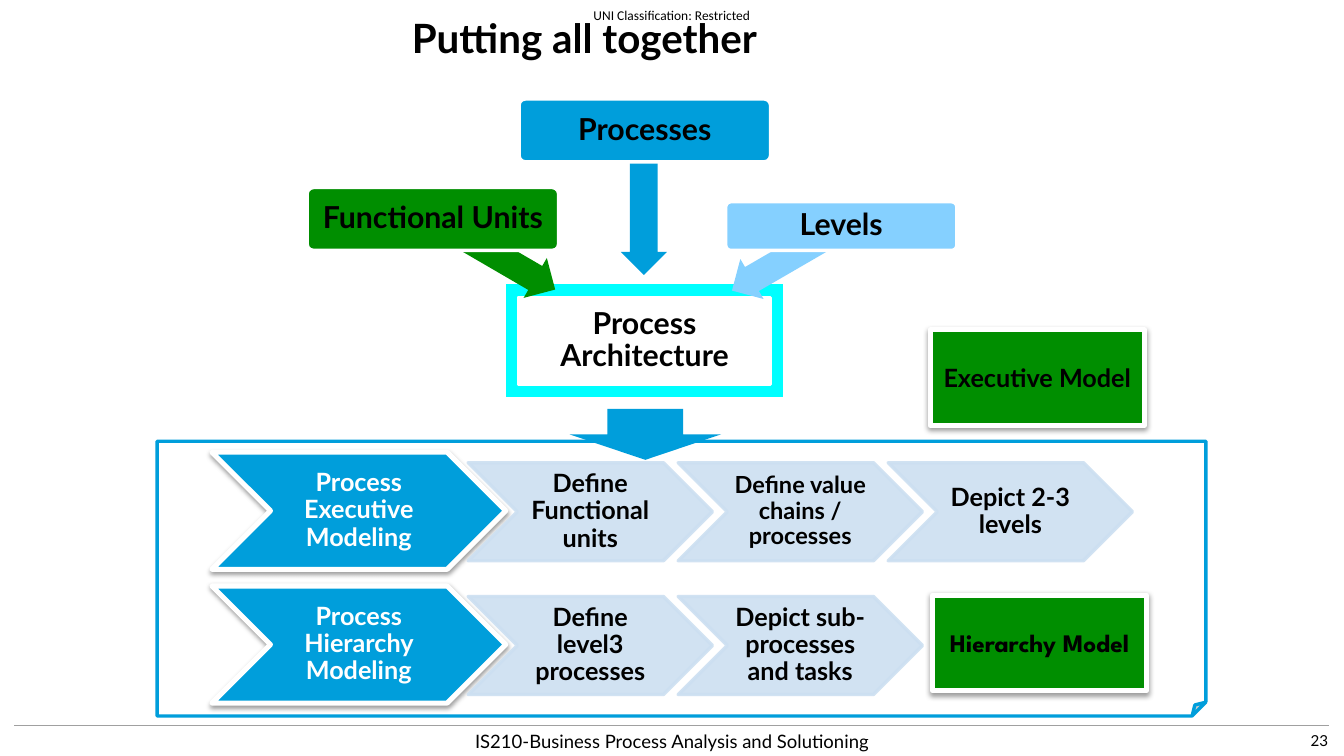
from dataclasses import dataclass

from lxml import etree
from pptx import Presentation
from pptx import util as u
from pptx.dml.color import RGBColor
from pptx.enum import shapes, text
from pptx.oxml.ns import qn

BLUE, GREEN, SKY, PALE = "009EDB", "008E00", "85D0FF", "CCDFF1"
BLACK, WHITE = "000000", "FFFFFF"
KIND = shapes.MSO_SHAPE
ALIGN = text.PP_ALIGN
ANCHOR = text.MSO_ANCHOR


@dataclass
class Block:
    kind: shapes.MSO_SHAPE
    box: tuple[float, float, float, float]
    fill: str
    label: str = ""
    size: float = 15
    font: str = "Lato"
    ink: str = BLACK
    line: str = ""
    weight: float = 2
    adjust: tuple[tuple[str, float], ...] = ()
    rotation: float = 0
    spacing: float = 1
    inset: float = 0.1
    opacity: int = 100
    shadow: bool = False


@dataclass
class Note:
    box: tuple[float, float, float, float]
    label: str
    size: float
    font: str = "Lato"
    align: text.PP_ALIGN = ALIGN.CENTER
    inset: float = 0.25


def paint(color, value: str) -> None:
    color.rgb = RGBColor.from_string(value)


def place(sp, box: tuple[float, float, float, float]) -> None:
    sp.left, sp.top, sp.width, sp.height = map(u.Cm, box)


def write(sp, label: str, size: float, font: str = "Lato", ink: str = BLACK,
          bold: bool = True, align: text.PP_ALIGN = ALIGN.CENTER,
          anchor: text.MSO_ANCHOR = ANCHOR.MIDDLE, spacing: float = 1,
          inset: float = 0.1) -> None:
    tf = sp.text_frame
    tf.word_wrap = True
    tf.auto_size = text.MSO_AUTO_SIZE.NONE
    tf.vertical_anchor = anchor
    tf.margin_left = tf.margin_right = u.Cm(inset)
    tf.margin_top = tf.margin_bottom = u.Cm(min(inset, 0.13))
    tf.text = label
    p = tf.paragraphs[0]
    p.alignment, p.line_spacing = align, spacing
    p.font.name, p.font.size, p.font.bold = font, u.Pt(size), bold
    paint(p.font.color, ink)


def set_adjust(sp, adjust: tuple[tuple[str, float], ...]) -> None:
    geometry = sp._element.spPr.find(qn("a:prstGeom"))
    for old in geometry.findall(qn("a:avLst")):
        geometry.remove(old)
    guides = etree.SubElement(geometry, qn("a:avLst"))
    for name, value in adjust:
        etree.SubElement(guides, qn("a:gd"), name=name, fmla=f"val {round(value * 100000)}")


def add_alpha(color, percent: int) -> None:
    etree.SubElement(color, qn("a:alpha"), val=str(percent * 1000))


def add_shadow(sp) -> None:
    effects = sp._element.spPr.find(qn("a:effectLst"))
    outer = etree.SubElement(effects, qn("a:outerShdw"), blurRad="39370",
                             dist="20320", dir="5400000", rotWithShape="0")
    add_alpha(etree.SubElement(outer, qn("a:srgbClr"), val=BLACK), 38)


def draw_block(s, b: Block) -> None:
    sp = s.shapes.add_shape(b.kind, *map(u.Cm, b.box))
    sp.rotation = b.rotation
    sp.shadow.inherit = False
    if b.adjust:
        set_adjust(sp, b.adjust)
    sp.fill.solid()
    paint(sp.fill.fore_color, b.fill)
    if b.line:
        paint(sp.line.color, b.line)
        sp.line.width = u.Pt(b.weight)
    else:
        sp.line.fill.background()
    if b.opacity < 100:
        for color in list(sp._element.spPr.iter(qn("a:srgbClr"))):
            add_alpha(color, b.opacity)
    if b.shadow:
        add_shadow(sp)
    if b.label:
        write(sp, b.label, b.size, b.font, b.ink, spacing=b.spacing, inset=b.inset)


def draw_note(s, n: Note) -> None:
    sp = s.shapes.add_textbox(*map(u.Cm, n.box))
    write(sp, n.label, n.size, n.font, bold=False, align=n.align, inset=n.inset)


def source(label: str, box: tuple[float, float, float, float], fill: str) -> Block:
    return Block(KIND.ROUNDED_RECTANGLE, box, fill, label, 18, line=WHITE,
                 adjust=(("adj", 0.1),), spacing=0.9)


def arrow(box: tuple[float, float, float, float], fill: str, rotation: float) -> Block:
    return Block(KIND.LEFT_ARROW, box, fill, adjust=(("adj1", 0.6), ("adj2", 0.5)),
                 rotation=rotation)


def model(label: str, left: float, top: float, font: str) -> Block:
    return Block(KIND.RECTANGLE, (left, top, 4.5, 2.01), GREEN, label, font=font,
                 line=WHITE, weight=3, shadow=True)


def chevron_row(top: float, lead: str, steps: list[tuple[str, float]]) -> list[Block]:
    row = [Block(KIND.CHEVRON, (4.45, top, 6.17, 2.46), BLUE, lead, ink=WHITE,
                 line=WHITE, weight=3, spacing=0.9, inset=0.03, shadow=True)]
    for i, (label, size) in enumerate(steps):
        row.append(Block(KIND.CHEVRON, (9.83 + 4.41 * i, top + 0.22, 5.13, 2.06), PALE,
                         label, size, line=PALE, spacing=0.9, inset=0.03, opacity=90))
    return row


NOTES = [
    Note((12.04, 0, 4.14, 0.64), "UNI Classification: Restricted", 8, "Calibri", inset=0),
    Note((21.79, 15.14, 6.35, 0.84), "23", 9, align=ALIGN.RIGHT),
    Note((7.7, 15.14, 12.83, 0.84), "IS210-Business Process Analysis and Solutioning", 11),
]

BLOCKS = [
    Block(KIND.FRAME, (10.59, 5.94, 5.89, 2.44), "00FFFF", "Process Architecture", 18,
          line=WHITE, spacing=0.9, inset=0.03),
    arrow((8.89, 4.85, 2.97, 0.97), GREEN, 210.2),
    source("Functional Units", (6.45, 3.94, 5.28, 1.32), GREEN),
    arrow((12.01, 3.78, 3.02, 0.97), BLUE, 270),
    source("Processes", (10.9, 2.08, 5.28, 1.32), BLUE),
    arrow((15.19, 4.95, 2.67, 0.97), SKY, 329.9),
    source("Levels", (15.24, 4.24, 4.85, 1.02), SKY),
    model("Executive Model", 19.53, 6.93, "Lato"),
    Block(KIND.FOLDED_CORNER, (3.3, 9.27, 22.02, 5.77), WHITE, line=BLUE,
          adjust=(("adj", 0.05),)),
    model("Hierarchy Model", 19.58, 12.5, "League Spartan"),
    Block(KIND.DOWN_ARROW, (11.96, 8.59, 3.18, 1.07), BLUE),
    *chevron_row(9.5, "Process Executive Modeling",
                 [("Define Functional units", 15), ("Define value chains / processes", 14),
                  ("Depict 2-3 levels", 15)]),
    *chevron_row(12.31, "Process Hierarchy Modeling",
                 [("Define level3 processes", 15), ("Depict sub-processes and tasks", 15)]),
]


def main() -> None:
    prs = Presentation()
    prs.slide_width, prs.slide_height = u.Cm(28.22), u.Cm(15.88)
    s = prs.slides.add_slide(prs.slide_layouts[5])

    title = s.shapes.title
    place(title, (5.69, 0.15, 13.16, 1.27))
    write(title, "Putting all together", 24, anchor=ANCHOR.BOTTOM, inset=0.25)

    rule = s.shapes.add_connector(shapes.MSO_CONNECTOR.STRAIGHT,
                                  *map(u.Cm, (0.3, 15.24, 27.91, 15.24)))
    paint(rule.line.color, "A0A0A0")
    rule.line.width = u.Pt(0.75)
    etree.SubElement(rule._element.spPr, qn("a:effectLst"))

    for note in NOTES:
        draw_note(s, note)
    for block in BLOCKS:
        draw_block(s, block)
    prs.save("out.pptx")


if __name__ == "__main__":
    main()
